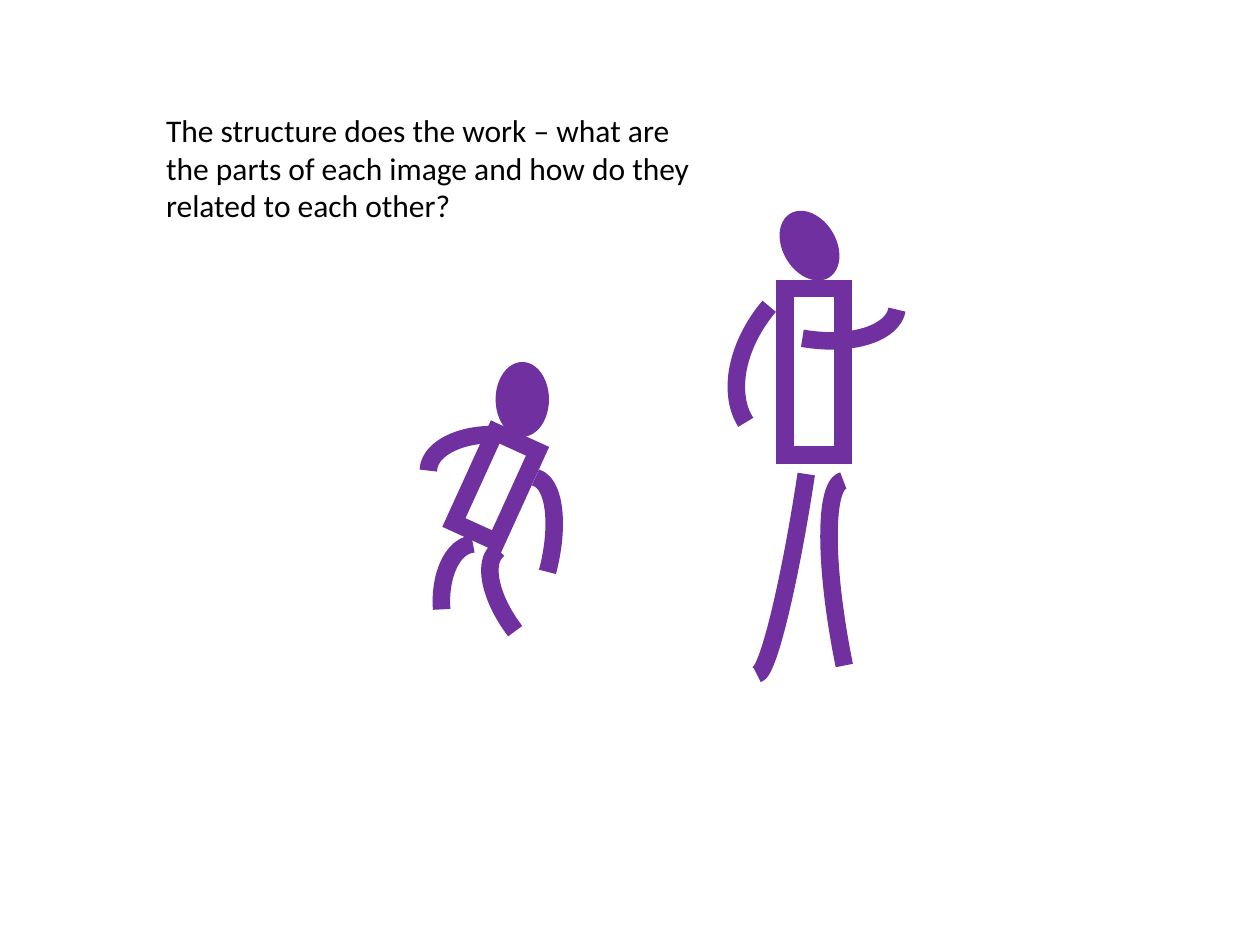
from lxml import etree
from pptx import Presentation
from pptx import util as u
from pptx.dml.color import RGBColor
from pptx.enum import shapes, text
from pptx.oxml.ns import qn

PURPLE = RGBColor(0x70, 0x30, 0xA0)
BLACK = RGBColor(0, 0, 0)
LIMB_WIDTH = 10
HEAD_WIDTH = 1

QUESTION = ("The structure does the work – what are the parts of each image "
            "and how do they related to each other?")

KINDS = {
    "head": shapes.MSO_SHAPE.OVAL,
    "limb": shapes.MSO_SHAPE.ARC,
    "torso": shapes.MSO_SHAPE.RECTANGLE,
}

# kind, (left, top, width, height), rotation, flipped, arc end
CROUCHING = [
    ("head", (3.94, 2.88, 0.41, 0.58), 0, False, None),
    ("limb", (3.4, 3.45, 1, 0.57), 0, True, None),
    ("limb", (3.37, 4.18, 1.4, 0.57), 104.9, True, None),
    ("limb", (3.29, 4.53, 1, 0.57), 265.9, False, None),
    ("limb", (3.72, 4.55, 1.19, 0.57), 232.5, False, None),
    ("torso", (3.75, 3.47, 0.37, 0.79), 24.5, False, None),
]
STANDING = [
    ("limb", (5.54, 4.94, 2.88, 0.57), 258.5, False, None),
    ("head", (6.22, 1.66, 0.41, 0.58), 328.9, False, None),
    ("limb", (5.7, 2.23, 1.68, 1.14), 310.3, True, 211.17),
    ("limb", (4.62, 3.59, 3.26, 0.3), 98.6, False, None),
    ("torso", (6.23, 2.29, 0.46, 1.32), 0, False, None),
    ("limb", (5.73, 1.98, 1.4, 0.71), 190, True, None),
]


def add_part(figure, kind, place, rotation, flipped, arc_end):
    part = figure.shapes.add_shape(KINDS[kind], *map(u.Inches, place))
    part.shadow.inherit = False
    part.rotation = rotation
    if flipped:
        part._element.spPr.find(qn("a:xfrm")).set("flipH", "1")
    if arc_end is not None:
        part.adjustments[1] = arc_end
    if kind == "head":
        part.fill.solid()
        part.fill.fore_color.rgb = PURPLE
    else:
        part.fill.background()
    part.line.color.rgb = PURPLE
    part.line.width = u.Pt(HEAD_WIDTH if kind == "head" else LIMB_WIDTH)
    if kind == "torso":
        outline = part._element.spPr.find(qn("a:ln"))
        etree.SubElement(outline, qn("a:miter")).set("lim", "800000")


def add_question(page):
    box = page.shapes.add_textbox(*map(u.Inches, (1.22, 0.83, 4.46, 1.01)))
    frame = box.text_frame
    frame.word_wrap = True
    frame.auto_size = text.MSO_AUTO_SIZE.SHAPE_TO_FIT_TEXT
    para = frame.paragraphs[0]
    para.text = QUESTION
    para.font.name = "Calibri"
    para.font.size = u.Pt(18)
    para.font.color.rgb = BLACK


def main():
    deck = Presentation()
    deck.slide_width, deck.slide_height = u.Inches(10), u.Inches(7.5)
    page = deck.slides.add_slide(deck.slide_layouts[6])
    for parts in (CROUCHING, STANDING):
        figure = page.shapes.add_group_shape()
        for part in parts:
            add_part(figure, *part)
    add_question(page)
    deck.save("out.pptx")


if __name__ == "__main__":
    main()
